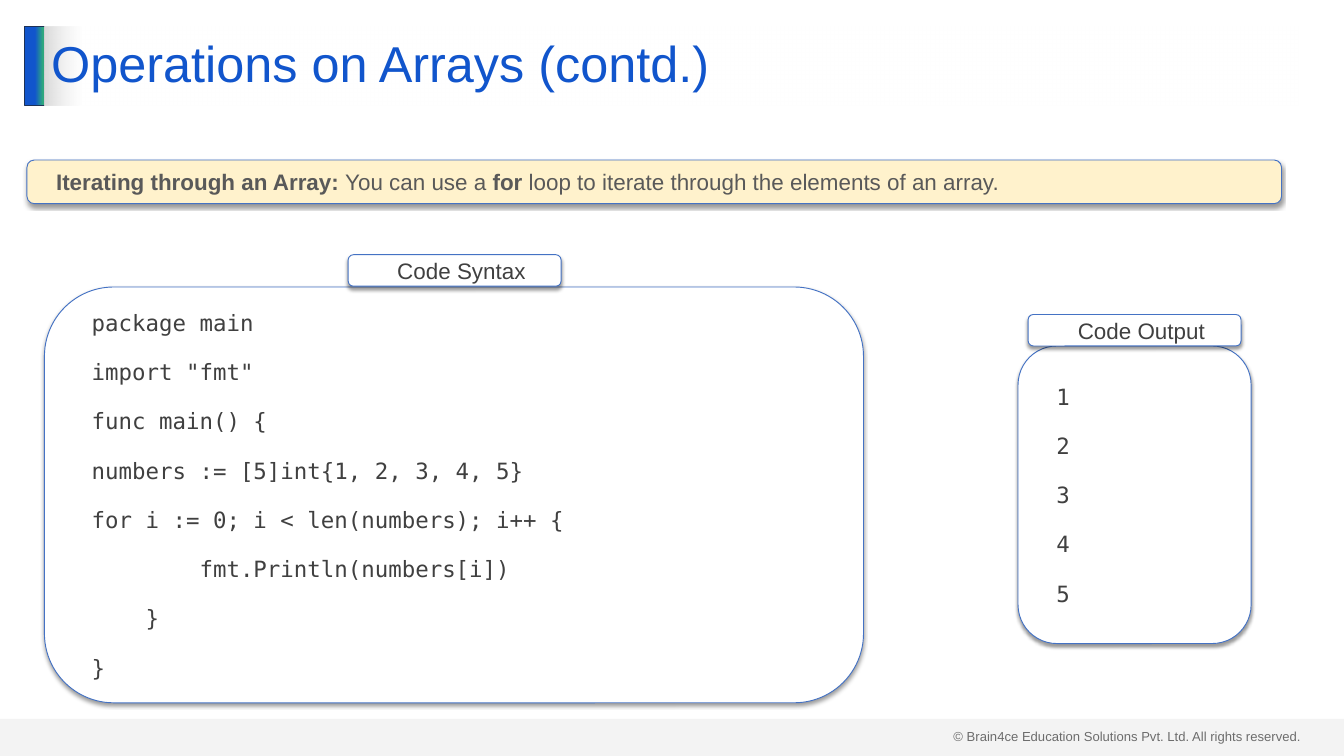
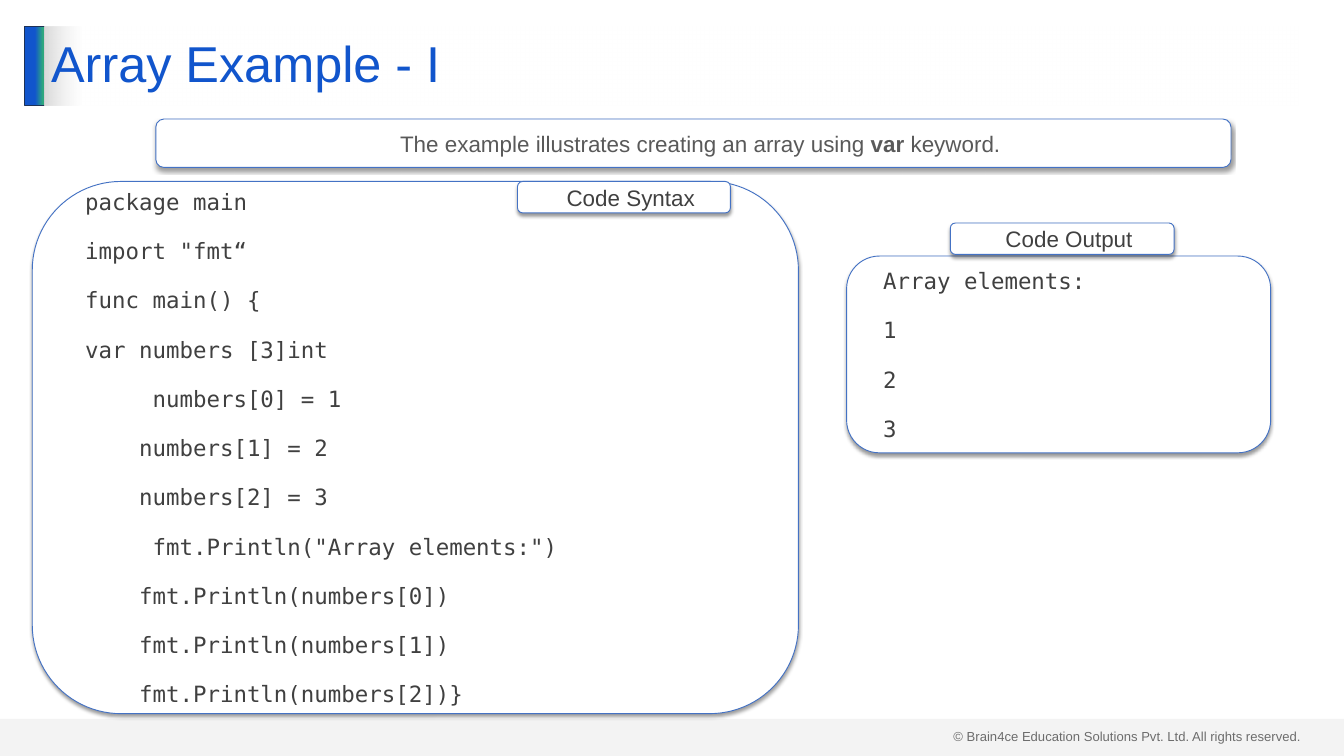
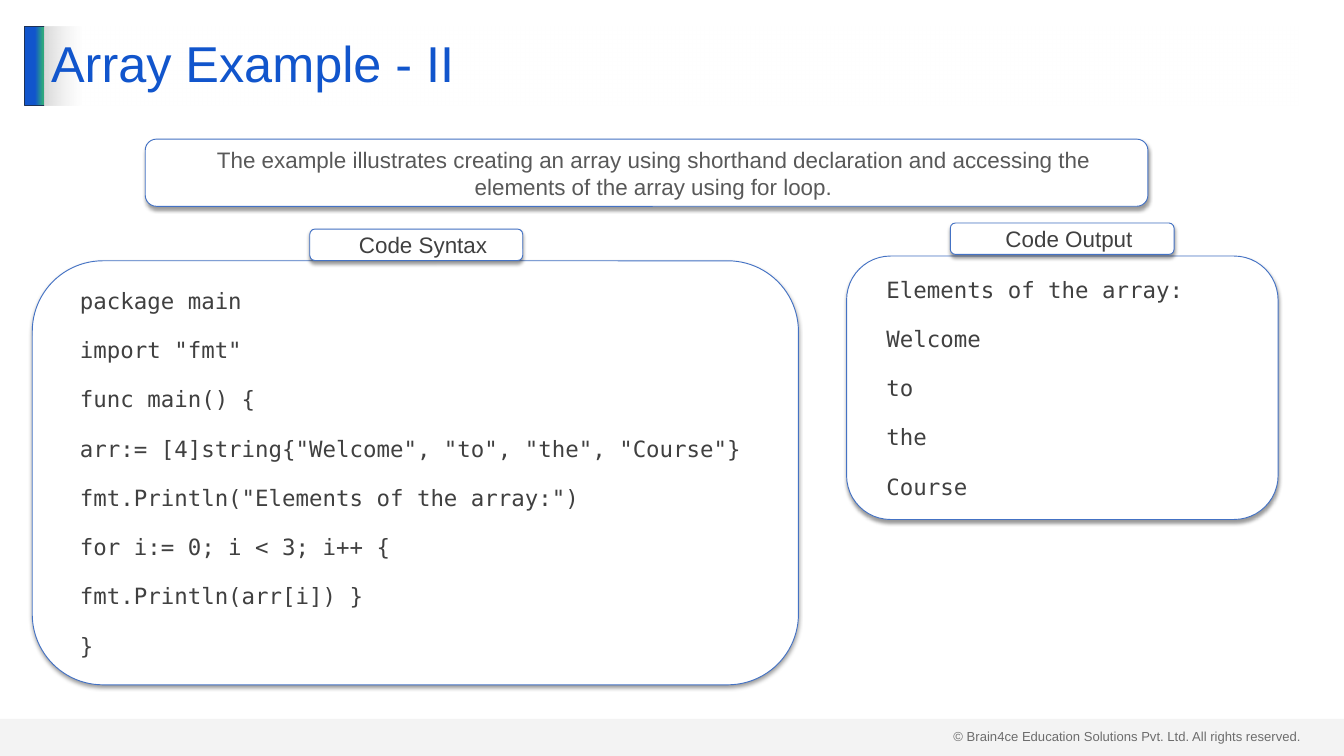
from dataclasses import dataclass

from lxml.etree import SubElement
from pptx import Presentation
from pptx.dml.color import RGBColor as RGB
from pptx.enum.shapes import MSO_SHAPE as SHAPE
from pptx.enum.text import MSO_ANCHOR as ANCHOR, MSO_AUTO_SIZE as AUTO, PP_ALIGN as ALIGN
from pptx.oxml.ns import qn
from pptx.util import Cm, Pt


@dataclass(frozen=True)
class Theme:
    blue: str = "1155CC"
    green: str = "2EA87D"
    navy: str = "1E3256"
    outline: str = "4472C4"
    cream: str = "FFF2CC"
    white: str = "FFFFFF"
    silver: str = "D9D9D9"
    ink: str = "404040"
    gray: str = "595959"
    shadow: str = "000000"
    sans: str = "Arial"
    mono: str = "DejaVu Sans Mono"
    title_size: int = 54
    text_size: int = 24
    footer_size: int = 14


@dataclass(frozen=True)
class Page:
    title: str
    banner: str
    banner_box: tuple
    code: str
    code_box: tuple
    code_label: tuple
    output: str
    output_box: tuple
    output_label: tuple
    banner_fill: str = Theme.white
    banner_align: ALIGN = ALIGN.CENTER


T = Theme()
FOOTER = "© Brain4ce Education Solutions Pvt. Ltd. All rights reserved."
PAGES = [
    Page(
        title="Operations on Arrays (contd.)",
        banner="**Iterating through an Array: **You can use a **for **loop to iterate "
               "through the elements of an array.",
        banner_box=(1.02, 6.05, 47.42, 1.65),
        banner_fill=T.cream,
        banner_align=ALIGN.LEFT,
        code="""package main
import "fmt"
func main() {
numbers := [5]int{1, 2, 3, 4, 5}
for i := 0; i < len(numbers); i++ {
        fmt.Println(numbers[i])
    }
}""",
        code_box=(1.68, 10.85, 30.96, 15.72),
        code_label=(13.16, 9.63, 8.05, 1.19),
        output="1\n2\n3\n4\n5",
        output_box=(38.48, 13.08, 8.81, 11.25),
        output_label=(38.86, 11.89, 8.05, 1.19),
    ),
    Page(
        title="Array Example - I",
        banner="The example illustrates creating an array using **var** keyword.",
        banner_box=(5.89, 4.5, 40.64, 1.83),
        code="""package main
import "fmt“
func main() {
var numbers [3]int
     numbers[0] = 1
    numbers[1] = 2
    numbers[2] = 3
     fmt.Println("Array elements:")
    fmt.Println(numbers[0])
    fmt.Println(numbers[1])
    fmt.Println(numbers[2])}""",
        code_box=(1.22, 6.86, 28.96, 20.12),
        code_label=(19.56, 6.86, 8.05, 1.19),
        output="Array elements:\n1\n2\n3",
        output_box=(32, 9.68, 16.03, 7.44),
        output_label=(35.92, 8.43, 8.46, 1.19),
    ),
    Page(
        title="Array Example - II",
        banner="The example illustrates creating an array using shorthand declaration "
               "and accessing the elements of the array using for loop.",
        banner_box=(5.49, 5.26, 37.9, 2.54),
        code="""package main
import "fmt"
func main() {
arr:= [4]string{"Welcome", "to", "the", "Course"}
fmt.Println("Elements of the array:")
for i:= 0; i < 3; i++ {
fmt.Println(arr[i]) }
}""",
        code_box=(1.22, 9.86, 28.96, 16.03),
        code_label=(11.71, 8.66, 8.05, 1.19),
        output="Elements of the array:\nWelcome\nto\nthe\nCourse",
        output_box=(32, 9.68, 16.31, 9.96),
        output_label=(35.92, 8.43, 8.46, 1.19),
    ),
]


def set_font(p, name, size, color):
    p.font.name = name
    p.font.size = Pt(size)
    p.font.color.rgb = RGB.from_string(color)


def add_color(parent, color, opacity=100):
    clr = SubElement(parent, qn("a:srgbClr"), val=color)
    if opacity < 100:
        SubElement(clr, qn("a:alpha"), val=str(opacity * 1000))


def fill_gradient(sp, stops):
    sp.fill.gradient()
    sp.fill.gradient_angle = 0
    gs_list = next(sp.element.iter(qn("a:gsLst")))
    for gs in list(gs_list):
        gs_list.remove(gs)
    for pos, *color in stops:
        add_color(SubElement(gs_list, qn("a:gs"), pos=str(pos * 1000)), *color)


def add_shape(s, kind, box, fill=None, line=None):
    sp = s.shapes.add_shape(kind, *map(Cm, box))
    sp.shadow.inherit = False
    if fill:
        sp.fill.solid()
        sp.fill.fore_color.rgb = RGB.from_string(fill)
    if line:
        sp.line.color.rgb = RGB.from_string(line)
        sp.line.width = Pt(1)
    else:
        sp.line.fill.background()
    return sp


def add_card(s, box, text, font, color, align=ALIGN.LEFT, fill=T.white):
    sp = add_shape(s, SHAPE.ROUNDED_RECTANGLE, box, fill, T.outline)
    effects = next(sp.element.iter(qn("a:effectLst")))
    shadow = SubElement(effects, qn("a:outerShdw"), blurRad=str(Pt(4)), dist=str(Pt(3)),
                        dir="5400000", algn="t", rotWithShape="0")
    add_color(shadow, T.shadow, 40)
    tf = sp.text_frame
    tf.word_wrap = True
    tf.vertical_anchor = ANCHOR.MIDDLE
    tf.margin_left = tf.margin_right = Cm(0.51)
    tf.margin_top = tf.margin_bottom = Cm(0.25)
    lines = text.split("\n")
    for i, line in enumerate(lines):
        p = tf.add_paragraph() if i else tf.paragraphs[0]
        p.alignment = align
        p.space_before = Pt(12 if i else 0)
        p.space_after = Pt(12 if i < len(lines) - 1 else 0)
        p._p.get_or_add_pPr().set("marL", str(Cm(0.51)))
        set_font(p, font, T.text_size, color)
        for j, part in enumerate(line.split("**")):
            if part:
                r = p.add_run()
                r.text = part
                if j % 2:
                    r.font.bold = True


def add_title(s, text):
    sp = s.shapes.title
    sp.left, sp.top, sp.width, sp.height = map(Cm, (1.68, 0.99, 47.42, 3))
    fill_gradient(sp, [(0, T.silver), (3, T.white, 50)])
    tf = sp.text_frame
    tf.text = text
    tf.auto_size = AUTO.NONE
    tf.vertical_anchor = ANCHOR.MIDDLE
    p = tf.paragraphs[0]
    p.alignment = ALIGN.LEFT
    p.line_spacing = 0.9
    set_font(p, T.sans, T.title_size, T.blue)


def add_frame(s, layout):
    footer = s.shapes.add_textbox(*map(Cm, (35.79, 27.43, 13.74, 0.86)))
    tf = footer.text_frame
    tf.word_wrap = True
    tf.auto_size = AUTO.SHAPE_TO_FIT_TEXT
    tf.text = FOOTER
    set_font(tf.paragraphs[0], T.sans, T.footer_size, T.ink)
    accent = add_shape(s, SHAPE.RECTANGLE, (0.94, 0.99, 0.76, 3), line=T.navy)
    fill_gradient(accent, [(51, T.blue), (90, T.green), (100, T.green)])
    band = add_shape(s, SHAPE.RECTANGLE, (0, 27.18, 50.8, 1.4), T.silver)
    clr = next(band.element.iter(qn("a:srgbClr")))
    SubElement(clr, qn("a:alpha"), val="29000")
    for sp in (footer, accent, band):
        layout.shapes.element.append(sp.element)


def add_page(s, page):
    add_title(s, page.title)
    add_card(s, page.code_box, page.code, T.mono, T.ink)
    add_card(s, page.output_box, page.output, T.mono, T.ink)
    add_card(s, page.code_label, "Code Syntax", T.sans, T.ink, ALIGN.CENTER)
    add_card(s, page.output_label, "Code Output", T.sans, T.ink, ALIGN.CENTER)
    add_card(s, page.banner_box, page.banner, T.sans, T.gray,
             page.banner_align, page.banner_fill)


def main():
    prs = Presentation()
    prs.slide_width, prs.slide_height = Cm(50.8), Cm(28.58)
    layout = prs.slide_layouts[5]
    slides = [prs.slides.add_slide(layout) for _ in PAGES]
    add_frame(slides[0], layout)
    for s, page in zip(slides, PAGES):
        add_page(s, page)
    prs.save("out.pptx")


if __name__ == "__main__":
    main()
